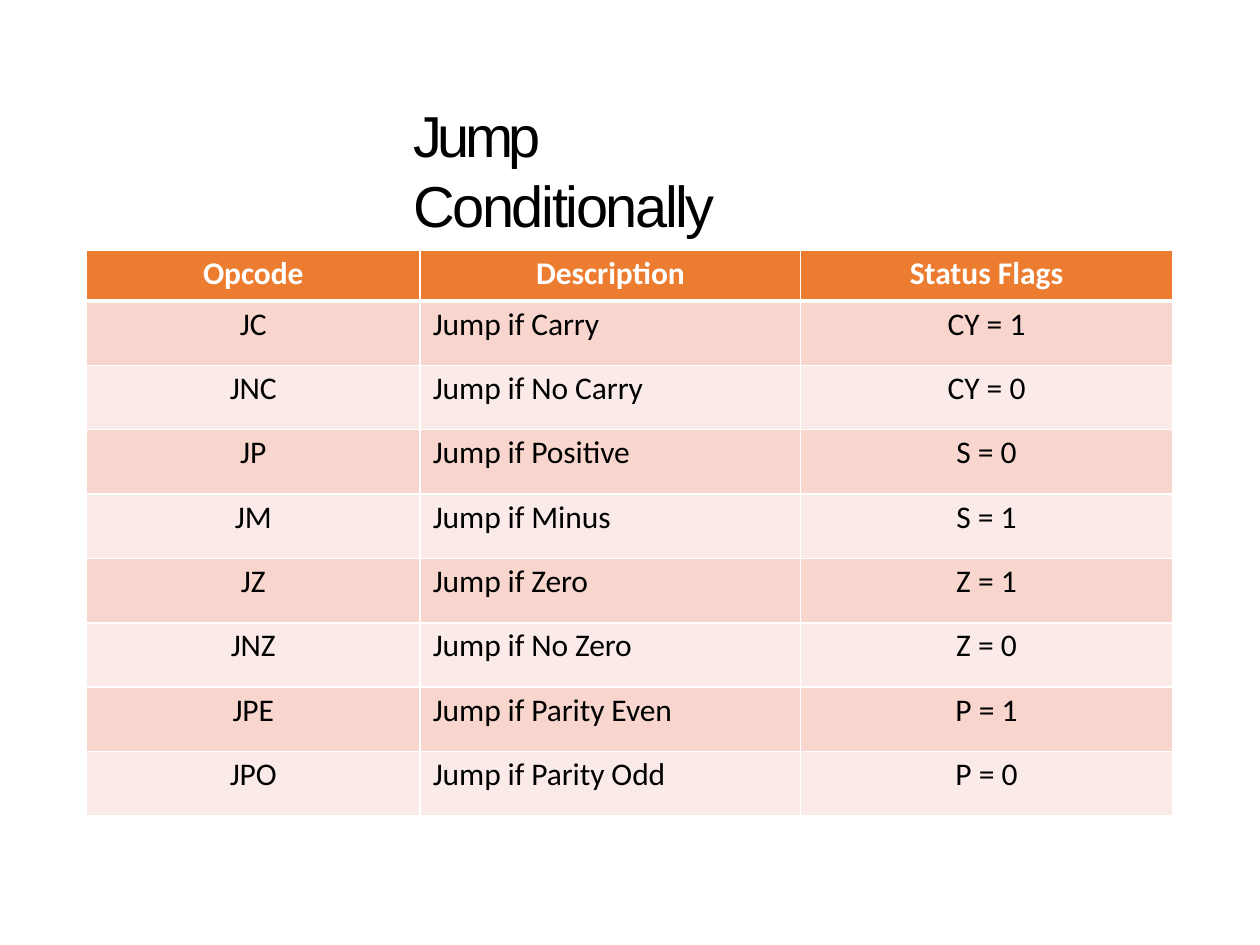
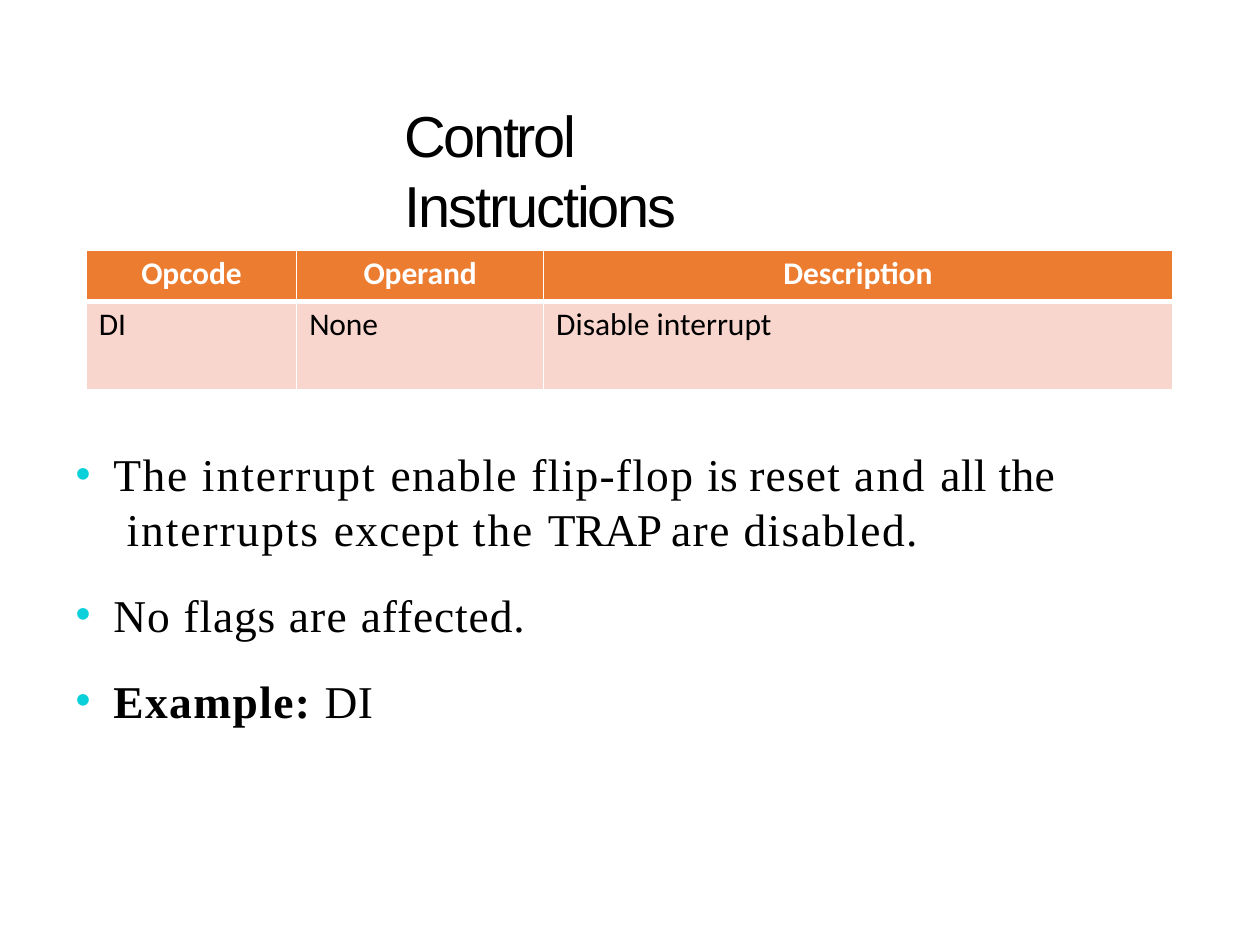
from lxml import etree
from pptx import Presentation, util as u
from pptx.dml.color import RGBColor
from pptx.enum import text
from pptx.oxml import ns

BLACK = RGBColor(0x00, 0x00, 0x00)
WHITE = RGBColor(0xFF, 0xFF, 0xFF)
ORANGE = RGBColor(0xEC, 0x7C, 0x30)
BANDS = [RGBColor(0xF8, 0xD6, 0xCD), RGBColor(0xFB, 0xEB, 0xE8)]
CYAN = RGBColor(0x0A, 0xD0, 0xD9)
LEFT, CENTER = text.PP_ALIGN.LEFT, text.PP_ALIGN.CENTER

prs = Presentation()
prs.slide_width, prs.slide_height = u.Inches(10), u.Inches(7.5)
col, row = prs.slide_width / 100, prs.slide_height / 100


def add_run(p, words, font, size, color, bold=False, spacing=0):
    r = p.add_run()
    r.text = words
    r.font.name, r.font.size, r.font.bold = font, u.Pt(size), bold
    r.font.color.rgb = color
    r._r.get_or_add_rPr().set("spc", str(round(spacing * 100)))


def sub(parent, tag, **attrs):
    return etree.SubElement(parent, ns.qn(tag), attrs)


pages = [
    dict(
        title=[("Jump ", -2.6), ("Conditionally", -1.4)],
        left=32.7, width=34.8,
        cols=[26.5, 30.2, 29.5], head=5.33, body=6.81,
        aligns=[CENTER, LEFT, CENTER],
        rows=[
            ("Opcode", "Description", "Status Flags"),
            ("JC", "Jump if Carry", "CY = 1"),
            ("JNC", "Jump if No Carry", "CY = 0"),
            ("JP", "Jump if Positive", "S = 0"),
            ("JM", "Jump if Minus", "S = 1"),
            ("JZ", "Jump if Zero", "Z = 1"),
            ("JNZ", "Jump if No Zero", "Z = 0"),
            ("JPE", "Jump if Parity Even", "P = 1"),
            ("JPO", "Jump if Parity Odd", "P = 0"),
        ],
    ),
    dict(
        title=[("Control ", -1.4), ("Instructions", -1.2)],
        left=32, width=36.1,
        cols=[16.7, 19.6, 49.9], head=5.4, body=9.33,
        aligns=[LEFT, LEFT, LEFT],
        rows=[("Opcode", "Operand", "Description"), ("DI", "None", "Disable interrupt")],
    ),
]

for page in pages:
    s = prs.slides.add_slide(prs.slide_layouts[5])
    sp = s.shapes.title
    sp.left, sp.top = int(page["left"] * col), int(10.4 * row)
    sp.width, sp.height = int(page["width"] * col), int(7.73 * row)
    tf = sp.text_frame
    tf.word_wrap = True
    tf.auto_size = text.MSO_AUTO_SIZE.SHAPE_TO_FIT_TEXT
    tf.vertical_anchor = text.MSO_ANCHOR.TOP
    tf.margin_left, tf.margin_right = int(0.1 * col), int(col)
    tf.margin_top, tf.margin_bottom = int(0.2 * row), 0
    p = tf.paragraphs[0]
    p.alignment, p.line_spacing, p.space_before = LEFT, 1.0, 0
    for words, spacing in page["title"]:
        add_run(p, words, "Arial", 33, BLACK, spacing=spacing)

    rows, widths = page["rows"], page["cols"]
    heights = [page["head"]] + [page["body"]] * (len(rows) - 1)
    table = s.shapes.add_table(
        len(rows), len(widths), int(6.85 * col), int(26.53 * row),
        int(sum(widths) * col), int(sum(heights) * row)).table
    for column, width in zip(table.columns, widths):
        column.width = int(width * col)
    for i, words_in_row in enumerate(rows):
        table.rows[i].height = int(heights[i] * row)
        for j, words in enumerate(words_in_row):
            cell = table.cell(i, j)
            align = page["aligns"][j] if i else CENTER
            cell.margin_left = int(col) if align == LEFT else 0
            cell.margin_right = cell.margin_bottom = 0
            cell.margin_top = int(0.43 * row)
            cell.vertical_anchor = text.MSO_ANCHOR.TOP
            tcPr = cell._tc.get_or_add_tcPr()
            for side in "LRTB":
                thick = (side == "B" and i == 0) or (side == "T" and i == 1)
                ln = sub(tcPr, "a:ln" + side, w=str(u.Pt(3 if thick else 1)))
                sub(sub(ln, "a:solidFill"), "a:srgbClr", val=str(WHITE))
            cell.fill.solid()
            cell.fill.fore_color.rgb = BANDS[(i - 1) % 2] if i else ORANGE
            p = cell.text_frame.paragraphs[0]
            p.alignment = align
            add_run(p, words, "Calibri", 18, BLACK if i else WHITE, i == 0, -0.05 if j < 2 else 0)

bullets = [
    [[("The ", 0.9), ("interrupt ", 1.15), ("enable ", 0.85), ("flip-flop ", 0.75), ("is ", 0),
      ("reset ", 0.7), ("and ", 1.3), ("all ", 0.2), ("the", 0.2)],
     [(" interrupts ", 1.1), ("except ", 0.7), ("the ", 1.1), ("TRAP ", -0.4),
      ("are disabled.", 0.8)]],
    [[("No ", 0.6), ("flags ", 0.5), ("are ", 0.7), ("affected.", 0.5)]],
    [[("Example: ", 0.8), ("DI", 0.3)]],
]
sp = s.shapes.add_textbox(int(5.9 * col), int(47.07 * row), int(79 * col), int(30.13 * row))
tf = sp.text_frame
tf.word_wrap = True
tf.auto_size = text.MSO_AUTO_SIZE.SHAPE_TO_FIT_TEXT
tf.margin_left = tf.margin_right = tf.margin_bottom = 0
tf.margin_top = int(0.13 * row)
for i, lines in enumerate(bullets):
    p = tf.add_paragraph() if i else tf.paragraphs[0]
    pPr = p._p.get_or_add_pPr()
    pPr.set("marL", str(int(3.1 * col)))
    pPr.set("indent", str(int(-3 * col)))
    sub(sub(pPr, "a:buClr"), "a:srgbClr", val=str(CYAN))
    sub(pPr, "a:buSzPct", val="94000")
    sub(pPr, "a:buFont", typeface="Arial")
    sub(pPr, "a:buChar", char="•")
    p.line_spacing = 1.0
    p.space_before = u.Pt(18 if i else 0)
    for n, runs in enumerate(lines):
        if n:
            p.add_line_break()
        for words, spacing in runs:
            add_run(p, words, "Times New Roman", 26, BLACK, words == "Example: ", spacing)

prs.save("out.pptx")
